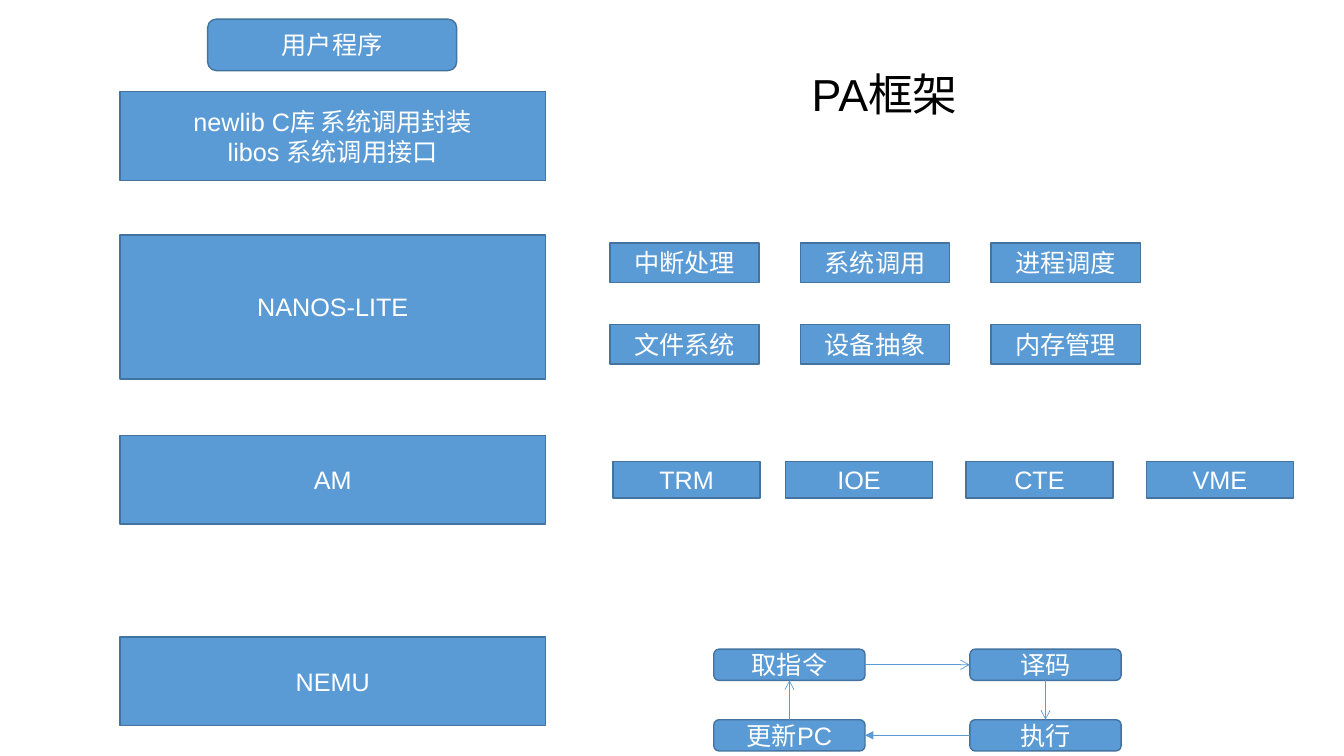
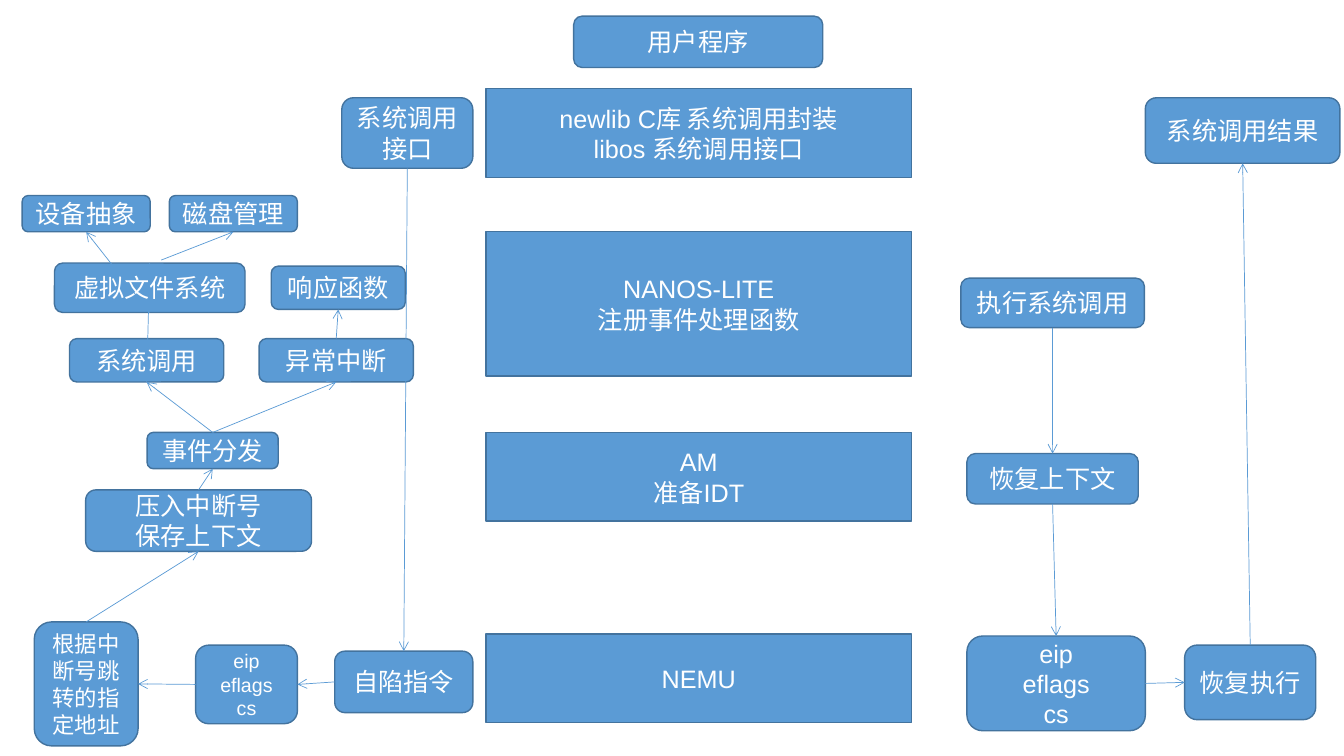
from dataclasses import dataclass

from lxml import etree
from pptx import Presentation
from pptx import util as u
from pptx.dml.color import RGBColor
from pptx.enum import shapes, text
from pptx.oxml import ns

RECT = shapes.MSO_SHAPE.RECTANGLE
ROUND = shapes.MSO_SHAPE.ROUNDED_RECTANGLE
TOP, LEFT, BOTTOM, RIGHT = range(4)  # connection sites


@dataclass(frozen=True)
class Theme:
    fill: RGBColor = RGBColor(0x5B, 0x9B, 0xD5)
    edge: RGBColor = RGBColor(0x43, 0x73, 0x9E)
    light: RGBColor = RGBColor(0xFF, 0xFF, 0xFF)
    dark: RGBColor = RGBColor(0, 0, 0)
    font: str = "Arial"
    head: int = 32
    body: int = 18
    note: int = 16
    small: int = 14
    rim: float = 1
    wire: float = 0.5


T = Theme()
FRAME = {"word_wrap": True, "auto_size": text.MSO_AUTO_SIZE.NONE}


def apply(obj, form):
    for key, val in form.items():
        setattr(obj, key, val)


def write(shape, words, size, color, align, anchor):
    """Fill a shape with one paragraph for each line of words."""
    frame = shape.text_frame
    apply(frame, FRAME | {"vertical_anchor": anchor})
    frame.text = words
    for para in frame.paragraphs:
        para.alignment = align
        for run in para.runs:
            apply(run.font, {"name": T.font, "size": u.Pt(size)})
            run.font.color.rgb = color


def box(slide, kind, words, area, size=T.body):
    shape = slide.shapes.add_shape(kind, *map(u.Inches, area))
    shape.shadow.inherit = False
    shape.fill.solid()
    shape.fill.fore_color.rgb = T.fill
    shape.line.color.rgb = T.edge
    shape.line.width = u.Pt(T.rim)
    write(shape, words, size, T.light,
          text.PP_ALIGN.CENTER, text.MSO_ANCHOR.MIDDLE)
    return shape


def wire(slide, start, end, tip="arrow"):
    """Join two (shape, site) ends; the start may be a plain point."""
    line = slide.shapes.add_connector(
        shapes.MSO_CONNECTOR.STRAIGHT, 0, 0, 0, 0)
    if isinstance(start[0], float):
        line.begin_x, line.begin_y = map(u.Inches, start)
    else:
        line.begin_connect(*start)
    line.end_connect(*end)
    line.line.color.rgb = T.fill
    line.line.width = u.Pt(T.wire)
    etree.SubElement(line.line._get_or_add_ln(), ns.qn("a:tailEnd"), type=tip)
    etree.SubElement(line._element.spPr, ns.qn("a:effectLst"))


def title(slide, words, area):
    head = slide.shapes.title
    apply(head, dict(zip(("left", "top", "width", "height"),
                         map(u.Inches, area))))
    write(head, words, T.head, T.dark,
          text.PP_ALIGN.LEFT, text.MSO_ANCHOR.TOP)


def stack(slide, x, y, kernel, machine):
    """The five layers, from user program down to NEMU."""
    wide = 4.22
    box(slide, ROUND, "用户程序", (x + 0.87, y, 2.47, 0.51))
    layers = [
        ("newlib C库 系统调用封装\nlibos 系统调用接口", 0.72, 0.88),
        (kernel, 2.14, 1.43),
        (machine, 4.13, 0.88),
        ("NEMU", 6.13, 0.88),
    ]
    for words, down, high in layers:
        box(slide, RECT, words, (x, y + down, wide, high))


def grid(slide, rows, x, y):
    """Parts of the kernel."""
    for r, row in enumerate(rows):
        for c, words in enumerate(row):
            box(slide, RECT, words,
                (x + 1.89 * c, y + 0.81 * r, 1.48, 0.39))


def strip(slide, parts, y):
    """Parts of the abstract machine."""
    for words, x in parts:
        box(slide, RECT, words, (x, y, 1.46, 0.36))


def cycle(slide, x, y):
    """Instruction cycle, clockwise."""
    dx, dy = 2.54, 0.7
    steps = [("取指令", 0, 0), ("译码", dx, 0),
             ("执行", dx, dy), ("更新PC", 0, dy)]
    nodes = [box(slide, ROUND, words, (x + a, y + b, 1.5, 0.31))
             for words, a, b in steps]
    sides = [(RIGHT, LEFT, "arrow"), (BOTTOM, TOP, "arrow"),
             (LEFT, RIGHT, "triangle"), (TOP, BOTTOM, "arrow")]
    for i, (out, into, tip) in enumerate(sides):
        wire(slide, (nodes[i], out), (nodes[(i + 1) % 4], into), tip)


def flow(slide, x, y, nodes, links):
    """Rounded nodes by key, placed from (x, y), then their arrows."""
    made = {}
    for key, words, (a, b, w, h), *size in nodes:
        made[key] = box(slide, ROUND, words, (x + a, y + b, w, h), *size)
    for a, out, b, into in links:
        wire(slide, (made[a], out), (made[b], into))
    return made


def trap(slide, x, y):
    """Way into the system call."""
    nodes = [
        ("call", "系统调用", (0.47, 2.39, 1.53, 0.43)),
        ("fault", "异常中断", (2.35, 2.39, 1.53, 0.43)),
        ("files", "虚拟文件系统", (0.32, 1.64, 1.89, 0.49)),
        ("device", "设备抽象", (0, 0.97, 1.27, 0.36)),
        ("disk", "磁盘管理", (1.46, 0.97, 1.27, 0.36)),
        ("save", "压入中断号\n保存上下文", (0.63, 3.89, 2.24, 0.61)),
        ("api", "系统调用接口", (3.17, 0, 1.3, 0.7)),
        ("trap", "自陷指令", (3.1, 5.49, 1.37, 0.61)),
        ("regs", "eip\neflags\ncs", (1.72, 5.43, 1.01, 0.78), T.small),
        ("jump", "根据中断号跳转的指定地址",
         (0.12, 5.2, 1.03, 1.23), T.note),
        ("event", "事件分发", (1.24, 3.32, 1.3, 0.36)),
        ("reply", "响应函数", (2.47, 1.67, 1.33, 0.43)),
    ]
    links = [
        ("api", BOTTOM, "trap", TOP),
        ("trap", LEFT, "regs", RIGHT),
        ("regs", LEFT, "jump", RIGHT),
        ("jump", TOP, "save", BOTTOM),
        ("save", TOP, "event", BOTTOM),
        ("event", TOP, "call", BOTTOM),
        ("event", TOP, "fault", BOTTOM),
        ("fault", TOP, "reply", BOTTOM),
        ("call", BOTTOM, "files", TOP),
        ("files", BOTTOM, "device", BOTTOM),
    ]
    made = flow(slide, x, y, nodes, links)
    wire(slide, (x + 1.38, y + 1.61), (made["disk"], BOTTOM))


def back(slide, x, y):
    """Way back to the user program."""
    nodes = [
        ("run", "执行系统调用", (0, 1.79, 1.82, 0.49)),
        ("load", "恢复上下文", (0.06, 3.53, 1.7, 0.5)),
        ("regs", "eip\neflags\ncs", (0.06, 5.34, 1.77, 0.94)),
        ("go", "恢复执行", (2.22, 5.43, 1.3, 0.74)),
        ("result", "系统调用结果", (1.83, 0, 1.93, 0.65)),
    ]
    links = [
        ("run", BOTTOM, "load", TOP),
        ("load", BOTTOM, "regs", TOP),
        ("regs", RIGHT, "go", LEFT),
        ("go", TOP, "result", BOTTOM),
    ]
    flow(slide, x, y, nodes, links)


def frame(deck):
    """Slide 1: the layers and their parts."""
    slide = deck.slides.add_slide(deck.slide_layouts[5])
    title(slide, "PA框架", (7.95, 0.61, 5, 0.64))
    stack(slide, 1.19, 0.19, "NANOS-LITE", "AM")
    grid(slide, [("中断处理", "系统调用", "进程调度"),
                 ("文件系统", "设备抽象", "内存管理")], 6.05, 2.41)
    strip(slide, [("TRM", 6.08), ("IOE", 7.79),
                  ("CTE", 9.58), ("VME", 11.37)], 4.58)
    cycle(slide, 7.08, 6.44)


def syscall(deck):
    """Slide 2: the path of a system call."""
    slide = deck.slides.add_slide(deck.slide_layouts[6])
    stack(slide, 4.82, 0.16, "NANOS-LITE\n注册事件处理函数", "AM\n准备IDT")
    trap(slide, 0.22, 0.97)
    back(slide, 9.53, 0.97)


def main():
    deck = Presentation()
    apply(deck, {"slide_width": u.Inches(13.33),
                 "slide_height": u.Inches(7.5)})
    frame(deck)
    syscall(deck)
    deck.save("out.pptx")


if __name__ == "__main__":
    main()
